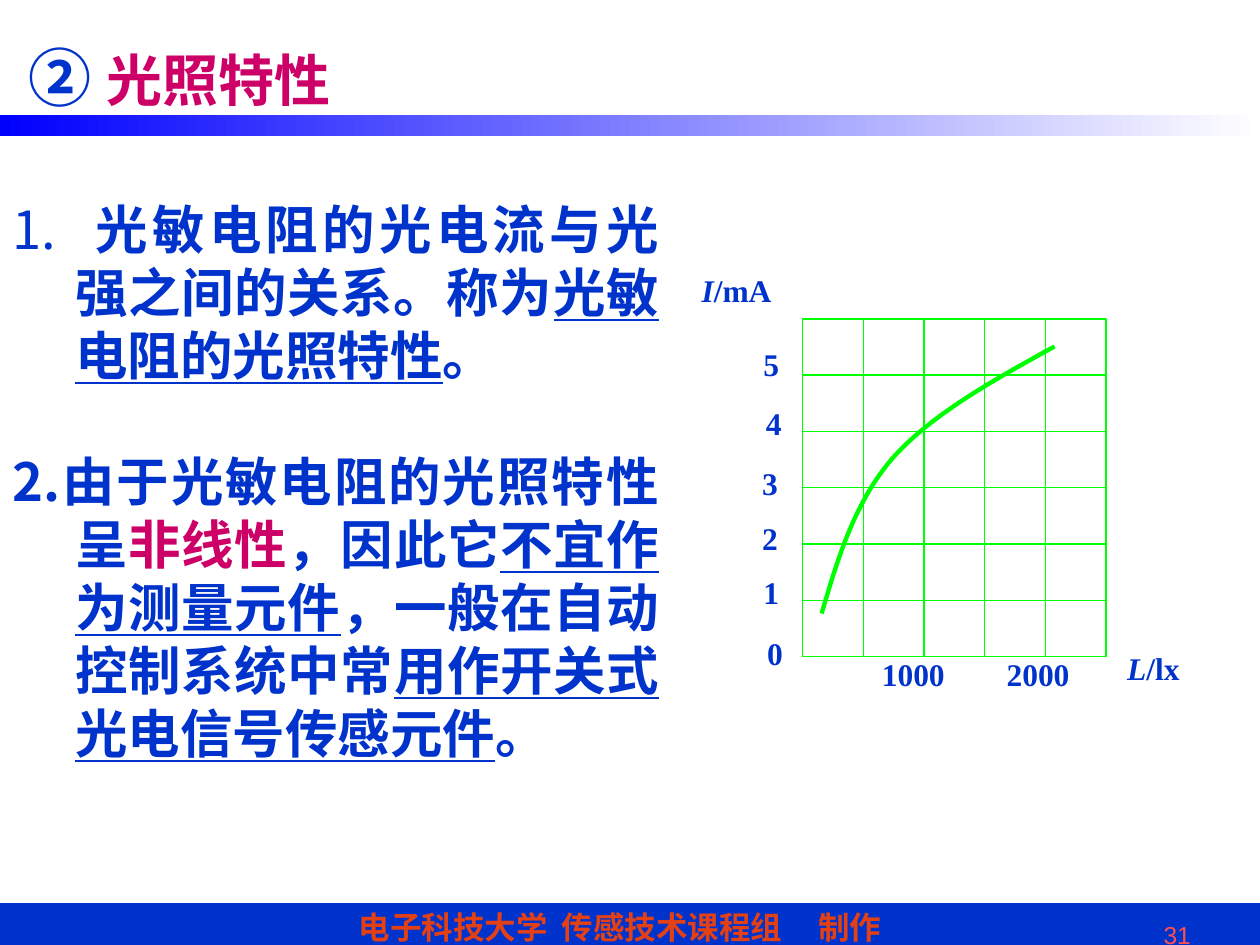
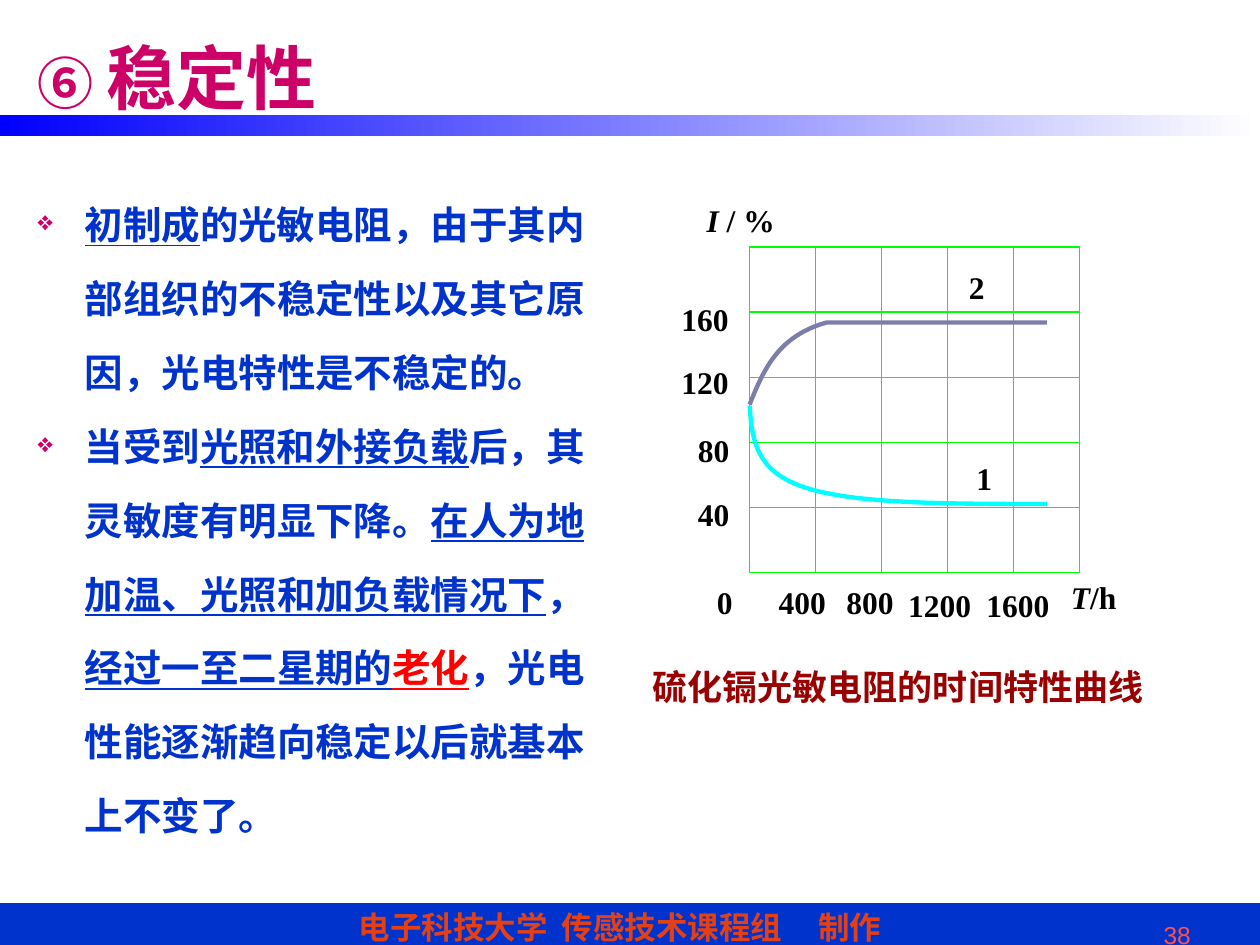
from dataclasses import dataclass

from lxml.etree import SubElement
from pptx import Presentation
from pptx.dml.color import RGBColor
from pptx.enum.shapes import MSO_CONNECTOR as Connector, MSO_SHAPE as Preset
from pptx.enum.text import MSO_ANCHOR as Anchor, PP_ALIGN as Align
from pptx.oxml.ns import qn
from pptx.util import Pt


@dataclass(frozen=True)
class Theme:
    blue: str = "0033CC"
    pink: str = "CC0066"
    red: str = "FF0000"
    maroon: str = "990000"
    black: str = "000000"
    orange: str = "E34115"
    coral: str = "FF5050"
    band_start: str = "0000FF"
    band_end: str = "FFFFFF"
    green: str = "00FF00"
    violet: str = "7D7DA9"
    cyan: str = "00FFFF"
    sans: str = "Arial"
    serif: str = "Times New Roman"
    chinese: str = "Noto Sans CJK SC"
    title_size: int = 32
    mark_size: int = 36
    big_title_size: int = 40
    statement_size: int = 30
    point_size: int = 22
    caption_size: int = 20
    label_size: int = 18
    number_size: int = 14
    thin: float = 0.75
    thick: float = 2.5


THEME = Theme()
UNDERLINED = {"underline": True}


def rgb(code):
    return RGBColor.from_string(code)


def style_font(font, size=None, color=None, name=None, **flags):
    if size:
        font.size = Pt(size)
    if color:
        font.color.rgb = rgb(color)
    if name:
        font.name = name
        SubElement(font._rPr, qn("a:ea"), typeface=THEME.chinese)
    for flag, value in flags.items():
        setattr(font, flag, value)


def add_spans(para, spans, **style):
    style_font(para.font, **style)
    for text, changes in spans:
        span = para.add_run()
        span.text = text
        style_font(span.font, **changes)


def add_bullet(para, hang, kind, value, color, percent=100):
    properties = para._p.get_or_add_pPr()
    set_hang(para, hang)
    tint = SubElement(properties, qn("a:buClr"))
    SubElement(tint, qn("a:srgbClr"), val=color)
    SubElement(properties, qn("a:buSzPct"), val=str(percent * 1000))
    SubElement(properties, qn(f"a:{kind}"), **value)


def set_hang(para, hang):
    properties = para._p.get_or_add_pPr()
    properties.set("marL", str(Pt(hang)))
    properties.set("indent", str(-Pt(hang)))


def add_tabs(para, stops):
    tabs = SubElement(para._p.get_or_add_pPr(), qn("a:tabLst"))
    for stop in stops:
        SubElement(tabs, qn("a:tab"), pos=str(Pt(stop)), algn="l")


def add_box(slide, left, top, width, height, wrap=True, anchor=Anchor.TOP):
    box = slide.shapes.add_textbox(Pt(left), Pt(top), Pt(width), Pt(height))
    frame = box.text_frame
    frame.word_wrap = wrap
    frame.vertical_anchor = anchor
    return frame


def add_rectangle(slide, left, top, width, height):
    shape = slide.shapes.add_shape(
        Preset.RECTANGLE, Pt(left), Pt(top), Pt(width), Pt(height))
    shape.shadow.inherit = False
    return shape


def set_line(shape, color, width):
    shape.line.color.rgb = rgb(color)
    shape.line.width = Pt(width)


def add_footer(slide, number):
    bar = add_rectangle(slide, 0, 516.25, 720, 28.8)
    bar.fill.solid()
    bar.fill.fore_color.rgb = rgb(THEME.blue)
    set_line(bar, THEME.blue, THEME.thin)
    frame = bar.text_frame
    frame.margin_left, frame.margin_right = Pt(205), 0
    frame.margin_top, frame.margin_bottom = 0, Pt(2)
    frame.vertical_anchor = Anchor.MIDDLE
    para = frame.paragraphs[0]
    para.alignment = Align.LEFT
    add_tabs(para, [116, 262.5])
    add_spans(para, [("电子科技大学\t传感技术课程组\t制作", {})], name=THEME.sans,
              size=THEME.label_size, color=THEME.orange, bold=True)

    para = add_box(slide, 507.6, 522, 180, 18.7).paragraphs[0]
    para.alignment = Align.RIGHT
    add_spans(para, [(number, {})], name=THEME.sans,
              size=THEME.number_size, color=THEME.coral)


def add_title_band(slide):
    band = add_rectangle(slide, 0, 65.5, 720, 12.25)
    band.fill.gradient()
    band.fill.gradient_angle = 0
    for stop, color in zip(band.fill.gradient_stops,
                           (THEME.band_start, THEME.band_end)):
        stop.color.rgb = rgb(color)
    band.line.fill.background()


def add_slide(deck, number):
    slide = deck.slides.add_slide(deck.slide_layouts[6])
    add_footer(slide, number)
    add_title_band(slide)
    return slide


def add_title(frame, mark, mark_style, title, size):
    add_spans(frame.paragraphs[0], [(f"{mark} ", mark_style), (title, {})],
              name=THEME.chinese, size=size, color=THEME.pink, bold=True)


def add_grid_line(slide, frame, start, end, sites):
    line = slide.shapes.add_connector(
        Connector.STRAIGHT, *(Pt(value) for value in start + end))
    set_line(line, THEME.green, THEME.thin)
    SubElement(line._element.spPr, qn("a:effectLst"))
    if sites:
        line.begin_connect(frame, sites[0])
        line.end_connect(frame, sites[1])


def add_grid(slide, left, top, width, height, columns, rows):
    frame = add_rectangle(slide, left, top, width, height)
    frame.fill.background()
    set_line(frame, THEME.green, THEME.thin)
    for column in range(1, columns):
        x = left + width * column / columns
        add_grid_line(slide, frame, (x, top), (x, top + height),
                      (0, 2) if column * 2 == columns else None)
    for row in range(1, rows):
        y = top + height * row / rows
        add_grid_line(slide, frame, (left, y), (left + width, y),
                      (1, 3) if row * 2 == rows else None)


def bezier_points(start, control_1, control_2, end, steps=24):
    for step in range(1, steps + 1):
        t = step / steps
        weights = ((1 - t) ** 3, 3 * t * (1 - t) ** 2, 3 * t * t * (1 - t), t ** 3)
        yield tuple(
            sum(weight * value for weight, value in zip(weights, values))
            for values in zip(start, control_1, control_2, end))


def add_curve(slide, color, start, *pieces):
    points = [start]
    for piece in pieces:
        points += bezier_points(points[-1], *piece) if len(piece) == 3 else piece
    corners = [(Pt(x), Pt(y)) for x, y in points]
    builder = slide.shapes.build_freeform(*corners[0])
    builder.add_line_segments(corners[1:], close=False)
    curve = builder.convert_to_shape()
    curve.shadow.inherit = False
    curve.fill.background()
    set_line(curve, color, THEME.thick)


def add_label(slide, color, left, top, text, symbol=""):
    width = 12 + 12 * len(symbol + text)
    para = add_box(slide, left, top, width, 36, wrap=False).paragraphs[0]
    spans = [(symbol, {"italic": True})] if symbol else []
    add_spans(para, spans + [(text, {})], name=THEME.serif,
              size=THEME.label_size, color=color, bold=True)


def add_illumination_slide(deck):
    slide = add_slide(deck, "31")
    frame = add_box(slide, 0, 105.8, 383.8, 337.7)
    frame.margin_top = Pt(6.6)
    first, second = frame.paragraphs[0], frame.add_paragraph()
    add_bullet(first, 36, "buAutoNum", {"type": "arabicPeriod"}, THEME.blue)
    set_hang(second, 36)
    second.space_before = Pt(36)
    first_spans = [
        (" ", {"name": THEME.serif, "bold": False}),
        ("光敏电阻的光电流与光强之间的关系。称为", {}),
        ("光敏电阻的光照特性", UNDERLINED),
        ("。", {}),
    ]
    second_spans = [
        ("2.由于光敏电阻的光照特性呈", {}),
        ("非线性", {"color": THEME.pink}),
        ("，因此它", {}),
        ("不宜作为测量元件", UNDERLINED),
        ("，一般在自动控制系统中常", {}),
        ("用作开关式光电信号传感元件", UNDERLINED),
        ("。", {}),
    ]
    for para, spans in ((first, first_spans), (second, second_spans)):
        para.alignment = Align.JUSTIFY
        para.line_spacing = Pt(36)
        add_spans(para, spans, name=THEME.chinese, size=THEME.statement_size,
                  color=THEME.blue, bold=True)

    mark_style = {"name": THEME.sans, "size": THEME.mark_size, "color": THEME.blue}
    add_title(add_box(slide, 9.4, 18.7, 194, 50.4, wrap=False),
              "②", mark_style, "光照特性", THEME.title_size)

    add_grid(slide, 458.6, 182.2, 173.5, 193, 5, 6)
    add_curve(slide, THEME.green, (469.5, 350.6),
              [(478.8, 319), (488.2, 287.3), (509.8, 262.1)],
              [(532.1, 236.9), (567.4, 217.4), (602.6, 198)])
    for label in [
        (431.3, 358.6, "0"), (429.1, 324, "1"), (428.4, 293, "2"),
        (428.4, 261.4, "3"), (430.6, 227.5, "4"), (429.1, 193.7, "5"),
        (496.8, 370.8, "1000"), (568.1, 370.8, "2000"),
        (393.8, 151.2, "/mA", "I"), (637, 367.2, "/lx", "L"),
    ]:
        add_label(slide, THEME.blue, *label)


def add_stability_slide(deck):
    slide = add_slide(deck, "38")
    add_title(add_box(slide, 14.4, -1.4, 612, 90, anchor=Anchor.MIDDLE),
              "⑥", {"name": THEME.sans, "size": THEME.title_size},
              "稳定性", THEME.big_title_size)

    frame = add_box(slide, 14.4, 93.6, 334.8, 446.4)
    frame.margin_top = Pt(5.6)
    points = [
        [
            ("初制成", UNDERLINED),
            ("的光敏电阻，由于其内部组织的不稳定性以及其它原因，光电特性是不稳定的。", {}),
        ],
        [
            ("当受到", {}),
            ("光照和外接负载", UNDERLINED),
            ("后，其灵敏度有明显下降。", {}),
            ("在人为地加温、光照和加负载情况下", UNDERLINED),
            ("，", {}),
            ("经过一至二星期的", UNDERLINED),
            ("老化", {"color": THEME.red, "underline": True}),
            ("，光电性能逐渐趋向稳定以后就基本上不变了。", {}),
        ],
    ]
    for para, spans in zip((frame.paragraphs[0], frame.add_paragraph()), points):
        add_bullet(para, 27, "buChar", {"char": "❖"}, THEME.pink, 70)
        para.line_spacing = Pt(42.2)
        add_spans(para, spans, name=THEME.chinese, size=THEME.point_size,
                  color=THEME.blue, bold=True)

    add_grid(slide, 428.4, 141.1, 188.6, 186.2, 5, 5)
    add_curve(slide, THEME.violet, (428.4, 231.1),
              [(436.3, 211.7), (444.2, 192.2), (472.3, 184.3)], [(598.3, 184.3)])
    add_curve(slide, THEME.cyan, (428.4, 231.8),
              [(429.8, 250.6), (431.3, 269.3), (460.1, 278.6)],
              [(488.2, 288), (542.9, 288), (598.3, 288)])
    for label in [
        (391.7, 279.4, "40"), (391.7, 242.6, "80"),
        (382.3, 203.8, "120"), (382.3, 167.8, "160"),
        (402.5, 329.8, "0"), (437.8, 329.8, "400"), (476.6, 329.8, "800"),
        (511.9, 331.2, "1200"), (556.6, 331.2, "1600"),
        (546.5, 149.8, "2"), (550.8, 258.5, "1"),
        (396.7, 111.6, " / %", "I"), (604.8, 326.9, "/h", "T"),
    ]:
        add_label(slide, THEME.black, *label)

    caption = add_box(slide, 365.8, 372.2, 324, 36).paragraphs[0]
    caption.line_spacing = 1.2
    add_spans(caption, [("硫化镉光敏电阻的时间特性曲线", {})], name=THEME.serif,
              size=THEME.caption_size, color=THEME.maroon, bold=True)


def main():
    deck = Presentation()
    deck.slide_width, deck.slide_height = Pt(720), Pt(540)
    add_illumination_slide(deck)
    add_stability_slide(deck)
    deck.save("out.pptx")


if __name__ == "__main__":
    main()
